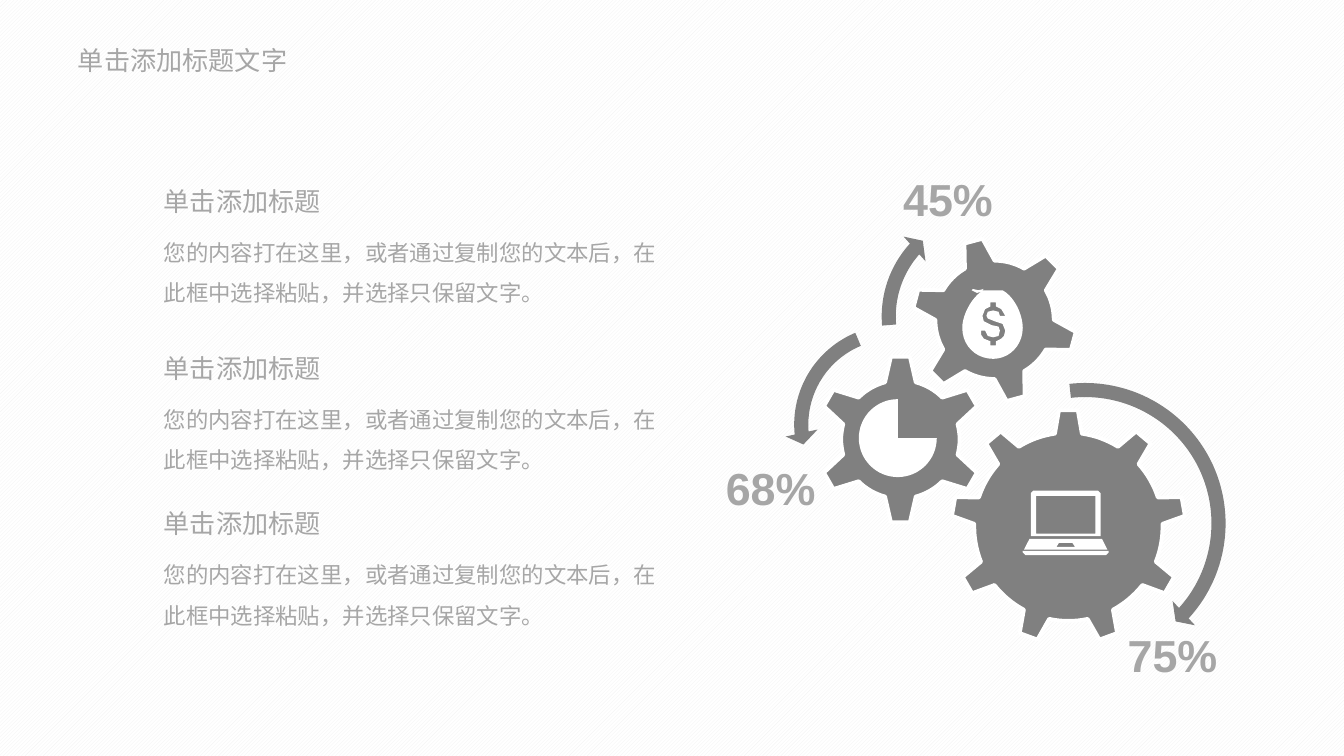
"""Build a slide with three captions beside three meshing gears."""
import math

import pptx
import pptx.dml.color
import pptx.enum.dml
import pptx.enum.shapes
import pptx.enum.text
import pptx.oxml.ns
import pptx.util
from lxml import etree

Inches = pptx.util.Inches
SHAPE = pptx.enum.shapes.MSO_SHAPE
COLORS = {"text": "A6A6A6", "gear": "808080", "white": "FFFFFF", "hatch": "F2F2F2"}
CJK, LATIN = "Noto Sans CJK SC", "Arial"
TIGHT = (0.07, 0.04)
ROOMY = (0.1, 0.05)

TITLE = "单击添加标题文字"
HEADING = "单击添加标题"
BODY = "您的内容打在这里，或者通过复制您的文本后，在此框中选择粘贴，并选择只保留文字。"
CAPTION_TOPS = [1.33, 2.57, 3.73]
PERCENTS = [("45%", 6.65, 1.24), ("68%", 5.33, 3.39), ("75%", 8.32, 4.63)]

ARROWS = [
    (SHAPE.CIRCULAR_ARROW, 6.96, 2.78, 2.23, (0.047, 2.99, 25.393, 158.123, 0.055)),
    (SHAPE.LEFT_CIRCULAR_ARROW, 5.84, 2.35, 1.62, (0.065, 4.3, 104.891, 148.378, 0.075)),
    (SHAPE.CIRCULAR_ARROW, 6.49, 1.48, 1.75, (0.06, 3.941, 133.138, 105.082, 0.07)),
]
GEARS = [
    dict(cx=7.95, cy=3.92, teeth=9, root=0.7, tip=0.87, root_half=8.2, tip_half=4.6, turn=0),
    dict(cx=6.7, cy=3.27, teeth=6, root=0.44, tip=0.62, root_half=15, tip_half=6.5, turn=0),
    dict(cx=7.4, cy=2.38, teeth=6, root=0.44, tip=0.61, root_half=15, tip_half=6.5, turn=-15),
]
LAPTOP = [
    [(8.2, 4.01), (7.66, 4.01), (7.62, 4.09), (8.24, 4.09)],
    [(7.86, 4.07), (7.88, 4.04), (7.98, 4.04), (8, 4.07)],
    [(8.19, 3.99), (8.19, 3.67), (8.17, 3.65), (7.69, 3.65), (7.67, 3.67), (7.67, 3.99)],
    [(8.15, 3.97), (7.71, 3.97), (7.71, 3.69), (8.15, 3.69)],
    [(8.25, 4.1), (7.61, 4.1), (7.61, 4.11), (7.63, 4.13), (8.23, 4.13), (8.25, 4.11)],
]
BAG_NECK = [(7.46, 2.16), (7.31, 2.16), (7.32, 2.15), (7.28, 2.16), (7.24, 2.15),
            (7.23, 2.16), (7.27, 2.18), (7.3, 2.17)]
BAG_CURVES = [
    [(7.3, 2.17), (7.22, 2.23), (7.16, 2.35), (7.16, 2.44)],
    [(7.16, 2.44), (7.16, 2.57), (7.26, 2.67), (7.39, 2.67)],
    [(7.39, 2.67), (7.51, 2.67), (7.61, 2.57), (7.61, 2.44)],
    [(7.61, 2.44), (7.61, 2.34), (7.55, 2.21), (7.46, 2.16)],
]
DOLLAR = [
    (7.45, 2.52), (7.41, 2.54), (7.41, 2.57), (7.37, 2.57), (7.37, 2.54), (7.32, 2.52),
    (7.3, 2.49), (7.3, 2.46), (7.33, 2.46), (7.35, 2.5), (7.39, 2.51), (7.43, 2.5),
    (7.44, 2.46), (7.43, 2.43), (7.38, 2.42), (7.32, 2.39), (7.31, 2.35), (7.33, 2.3),
    (7.37, 2.28), (7.37, 2.25), (7.41, 2.25), (7.41, 2.28), (7.45, 2.3), (7.48, 2.35),
    (7.44, 2.35), (7.43, 2.32), (7.39, 2.31), (7.35, 2.32), (7.34, 2.35), (7.35, 2.37),
    (7.4, 2.39), (7.46, 2.41), (7.48, 2.46), (7.47, 2.5),
]


def rgb(name):
    return pptx.dml.color.RGBColor.from_string(COLORS[name])


def polar(cx, cy, radius, degrees):
    a = math.radians(degrees)
    return cx + radius * math.sin(a), cy - radius * math.cos(a)


def arc(cx, cy, radius, start, end, steps):
    return [polar(cx, cy, radius, start + (end - start) * i / steps)
            for i in range(steps + 1)]


def bezier(points, steps=10):
    curve = []
    for i in range(1, steps + 1):
        t = i / steps
        weights = [math.comb(3, k) * t**k * (1 - t) ** (3 - k) for k in range(4)]
        curve.append(tuple(sum(w * p[axis] for w, p in zip(weights, points))
                           for axis in (0, 1)))
    return curve


def gear_outline(cx, cy, teeth, root, tip, root_half, tip_half, turn):
    pitch = 360 / teeth
    points = []
    for i in range(teeth):
        mid = turn + i * pitch
        points += [polar(cx, cy, tip, mid - tip_half), polar(cx, cy, tip, mid + tip_half)]
        points += arc(cx, cy, root, mid + root_half, mid + pitch - root_half, 8)
    return points


def paint(shape, color, outlined=False):
    shape.shadow.inherit = False
    shape.fill.solid()
    shape.fill.fore_color.rgb = rgb(color)
    if outlined:
        shape.line.color.rgb = rgb("white")
        shape.line.width = pptx.util.Pt(2)
    else:
        shape.line.fill.background()


def add_outline(shapes, contours, color, outlined=False):
    contours = [[(Inches(x), Inches(y)) for x, y in c] for c in contours]
    builder = shapes.build_freeform(*contours[0][0])
    builder.add_line_segments(contours[0][1:], close=True)
    for contour in contours[1:]:
        builder.move_to(*contour[0])
        builder.add_line_segments(contour[1:], close=True)
    paint(builder.convert_to_shape(), color, outlined)


def write(sp, text, box, size, font=CJK, bold=False, wrap=False, spacing=None, insets=ROOMY):
    sp.left, sp.top, sp.width, sp.height = map(Inches, box)
    tf = sp.text_frame
    tf.text = text
    tf.word_wrap = wrap
    tf.auto_size = pptx.enum.text.MSO_AUTO_SIZE.SHAPE_TO_FIT_TEXT
    tf.vertical_anchor = pptx.enum.text.MSO_ANCHOR.TOP
    tf.margin_left = tf.margin_right = Inches(insets[0])
    tf.margin_top = tf.margin_bottom = Inches(insets[1])
    p = tf.paragraphs[0]
    p.alignment = pptx.enum.text.PP_ALIGN.LEFT
    if spacing:
        p.line_spacing = spacing
    r = p.runs[0]
    r.font.size = pptx.util.Pt(size)
    r.font.bold = bold
    r.font.color.rgb = rgb("text")
    r.font.name = font
    ea = etree.SubElement(r.font._element, pptx.oxml.ns.qn("a:ea"))
    ea.set("typeface", font)


def add_text(shapes, text, box, size, **style):
    write(shapes.add_textbox(0, 0, 0, 0), text, box, size, **style)


def main():
    prs = pptx.Presentation()
    prs.slide_width = Inches(10)
    prs.slide_height = prs.slide_width * 9 // 16
    s = prs.slides.add_slide(prs.slide_layouts[5])
    fill = s.background.fill
    fill.patterned()
    fill.pattern = pptx.enum.dml.MSO_PATTERN.LIGHT_UPWARD_DIAGONAL
    fill.fore_color.rgb = rgb("hatch")
    fill.back_color.rgb = rgb("white")
    write(s.shapes.title, TITLE, (0.51, 0.29, 1.72, 0.31), 14, insets=TIGHT)

    for top in CAPTION_TOPS:
        group = s.shapes.add_group_shape().shapes
        add_text(group, BODY, (1.12, top + 0.3, 3.9, 0.67), 12, wrap=True, spacing=1.5)
        add_text(group, HEADING, (1.12, top, 1.38, 0.34), 14)

    for kind, left, top, size, adjustments in ARROWS:
        sp = s.shapes.add_shape(kind, Inches(left), Inches(top), Inches(size), Inches(size))
        for i, value in enumerate(adjustments):
            sp.adjustments[i] = value
        paint(sp, "gear")

    group = s.shapes.add_group_shape().shapes
    for gear in GEARS:
        add_outline(group, [gear_outline(**gear)], "gear", outlined=True)
    pie = [(6.68, 3.26)] + arc(6.68, 3.26, 0.29, 90, 360, 48)
    bag = BAG_NECK + [point for curve in BAG_CURVES for point in bezier(curve)]
    for icon in (LAPTOP, [pie], [bag, DOLLAR]):
        add_outline(group, icon, "white")

    for text, left, top in PERCENTS:
        add_text(s.shapes, text, (left, top, 0.82, 0.48), 24, font=LATIN, bold=True,
                 insets=TIGHT)
    prs.save("out.pptx")


if __name__ == "__main__":
    main()
